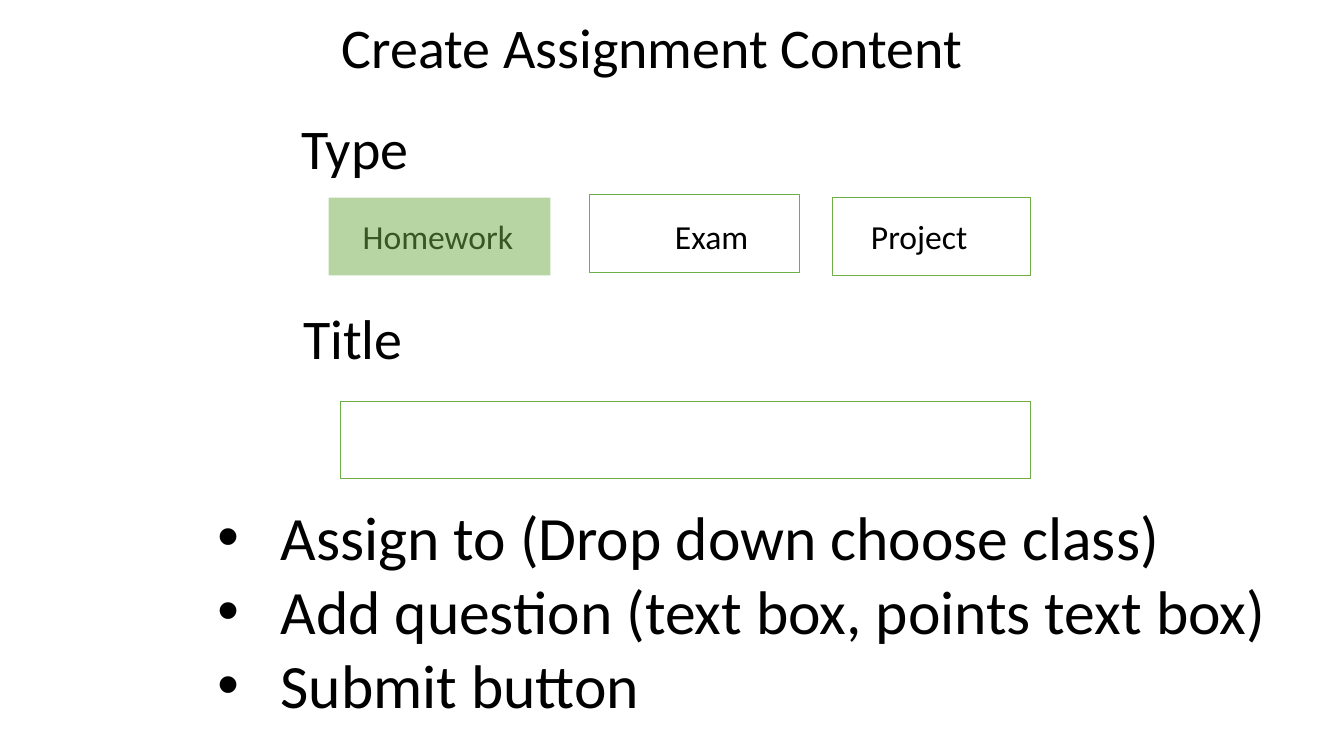
import pptx
import pptx.util
import pptx.dml.color
import pptx.enum.shapes
import pptx.enum.text
from pptx.oxml.ns import qn
from lxml import etree

Cm, Pt = pptx.util.Cm, pptx.util.Pt
ALIGN = pptx.enum.text.PP_ALIGN

COLOURS = {"text": "000000", "green": "70AD47"}
FONT = "Calibri"
BOX_HEIGHT = 1.96
INDENT = 1.59

# text, left, top, width (cm)
HEADINGS = [
    ("Create Assignment Content", 8.28, 0.18, 16.31),
    ("Type", 7.32, 2.74, 3.25),
    ("Title", 7.37, 7.52, 3.05),
]
# label, left of label (cm)
OPTIONS = [("Homework", 8.89), ("Exam", 16.76), ("Project", 21.7)]
OPTION_TOP, OPTION_WIDTH, OPTION_HEIGHT = 5.31, 4.6, 1.27
# left, top, width (cm), selected
FIELDS = [
    (8.28, 4.98, 5.59, True),
    (14.86, 4.9, 5.28, False),
    (20.98, 4.98, 4.98, False),
    (8.59, 10.11, 17.37, False),
]
STEPS = [
    "Assign to (Drop down choose class)",
    "Add question (text box, points text box)",
    "Submit button",
]
STEPS_AREA = (5.23, 12.45, 27.2, 5.89)


def rgb(name):
    return pptx.dml.color.RGBColor.from_string(COLOURS[name])


def add_text(slide, lines, area, size, align=ALIGN.LEFT, wrap=False):
    frame = slide.shapes.add_textbox(*map(Cm, area)).text_frame
    frame.word_wrap = wrap
    frame.text = "\n".join(lines)
    for paragraph in frame.paragraphs:
        paragraph.alignment = align
        font = paragraph.runs[0].font
        for name, value in {"name": FONT, "size": Pt(size)}.items():
            setattr(font, name, value)
        font.color.rgb = rgb("text")
    return frame


def add_bullet(paragraph):
    properties = paragraph._p.get_or_add_pPr()
    properties.set("marL", str(Cm(INDENT)))
    properties.set("indent", str(-Cm(INDENT)))
    etree.SubElement(properties, qn("a:buFont"), typeface="Arial")
    etree.SubElement(properties, qn("a:buChar"), char="•")


def add_field(slide, left, top, width, selected):
    """Draw an outlined box, or a half-transparent filled one if selected."""
    field = slide.shapes.add_shape(
        pptx.enum.shapes.MSO_SHAPE.RECTANGLE,
        *map(Cm, (left, top, width, BOX_HEIGHT)))
    field.shadow.inherit = False
    if selected:
        field.fill.solid()
        field.fill.fore_color.rgb = rgb("green")
        colour = field._element.spPr.find(qn("a:solidFill"))[0]
        etree.SubElement(colour, qn("a:alpha"), val="50000")
        field.line.fill.background()
    else:
        field.fill.background()
        field.line.color.rgb = rgb("green")
        field.line.width = Pt(0.75)


def main():
    deck = pptx.Presentation()
    deck.slide_width, deck.slide_height = Cm(33.87), Cm(19.05)
    slide = deck.slides.add_slide(deck.slide_layouts[6])

    for heading, left, top, width in HEADINGS:
        add_text(slide, [heading], (left, top, width, BOX_HEIGHT), 40, ALIGN.CENTER)
    for label, left in OPTIONS:
        area = (left, OPTION_TOP, OPTION_WIDTH, OPTION_HEIGHT)
        add_text(slide, [label], area, 24, wrap=True)
    for field in FIELDS:
        add_field(slide, *field)
    steps = add_text(slide, STEPS, STEPS_AREA, 44)
    for paragraph in steps.paragraphs:
        add_bullet(paragraph)

    deck.save("out.pptx")


if __name__ == "__main__":
    main()
